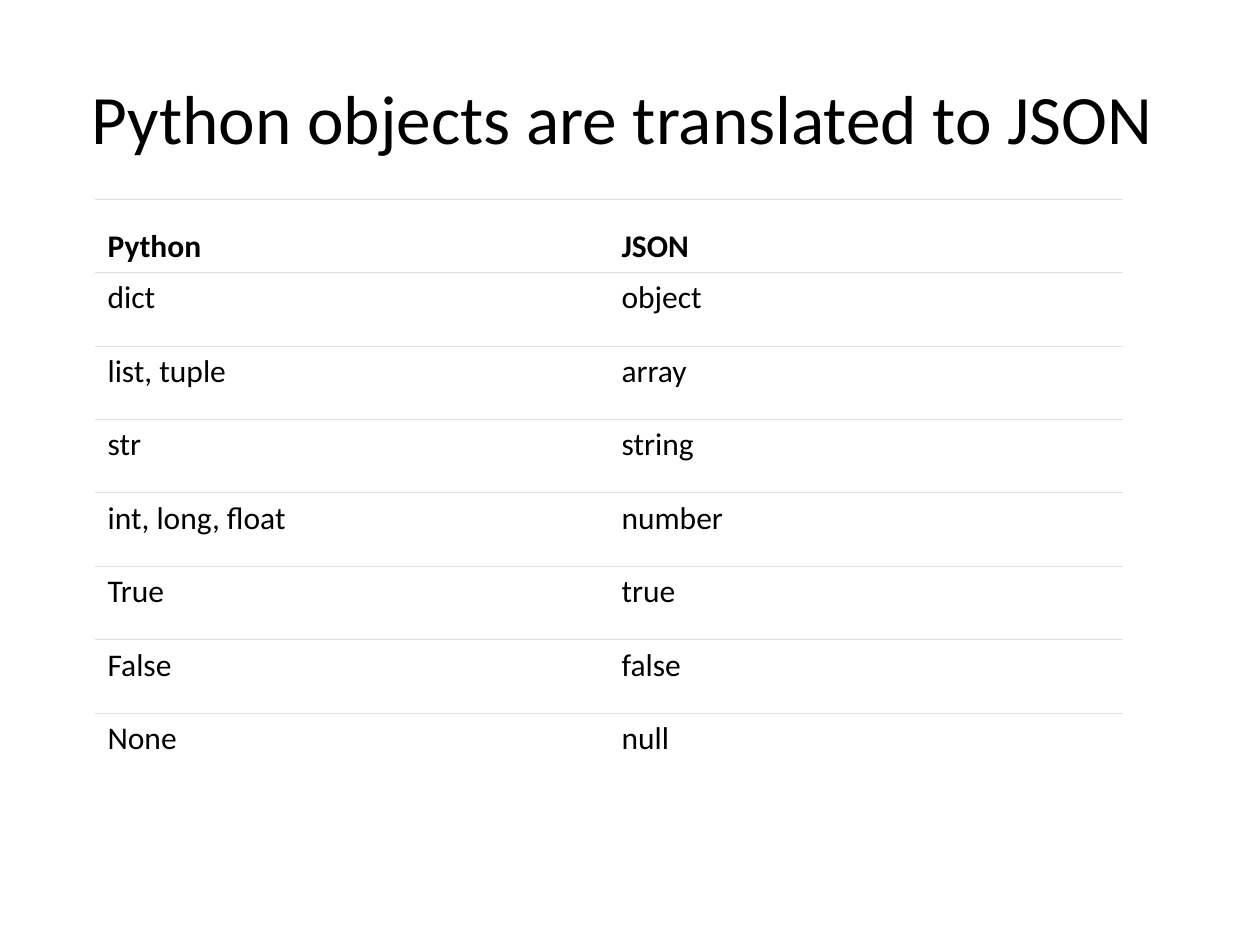
from lxml.etree import SubElement
from pptx import Presentation
from pptx.dml.color import RGBColor
from pptx.enum.text import MSO_ANCHOR, MSO_AUTO_SIZE, PP_ALIGN
from pptx.oxml.ns import qn
from pptx.util import Emu, Pt

ROWS = [
    ("Python", "JSON"),
    ("dict", "object"),
    ("list, tuple", "array"),
    ("str", "string"),
    ("int, long, float", "number"),
    ("True", "true"),
    ("False", "false"),
    ("None", "null"),
]


def px(count):
    return Emu(round(count * 914400 / 126))


def tint(code):
    return RGBColor.from_string(code)


def write(frame, text, size=18, bold=False, color="000000", font="Calibri", align=PP_ALIGN.LEFT):
    par = frame.paragraphs[0]
    par.alignment = align
    run = par.add_run()
    run.text = text
    run.font.name, run.font.size, run.font.bold = font, Pt(size), bold
    run.font.color.rgb = tint(color)


class Deck:
    """Holds the style and the current slide."""

    paper = "FFFFFF"
    rule = "DEE2E6"

    def __init__(self, wide, high):
        self.prs = Presentation()
        self.prs.slide_width, self.prs.slide_height = px(wide), px(high)
        self.slide = self.prs.slides.add_slide(self.prs.slide_layouts[5])
        fill = self.slide.background.fill
        fill.solid()
        fill.fore_color.rgb = tint(self.paper)

    def title(self, text, left, top, wide, high):
        box = self.slide.shapes.title
        box.left, box.top, box.width, box.height = map(px, (left, top, wide, high))
        frame = box.text_frame
        frame.word_wrap = True
        frame.auto_size = MSO_AUTO_SIZE.NONE
        frame.vertical_anchor = MSO_ANCHOR.MIDDLE
        write(frame, text, size=39.6, align=PP_ALIGN.CENTER)

    def border(self, cell, sides):
        props = cell._tc.get_or_add_tcPr()
        for spot, side in enumerate("LRTB"):
            line = SubElement(props, qn(f"a:ln{side}"), w=str(Pt(0.6)))
            if side in sides:
                fill = SubElement(line, qn("a:solidFill"))
                SubElement(fill, qn("a:srgbClr"), val=self.rule)
            else:
                SubElement(line, qn("a:noFill"))
            props.insert(spot, line)

    def table(self, rows, left, top, wide, high):
        spots = map(px, (left, top, wide, high))
        grid = self.slide.shapes.add_table(len(rows), len(rows[0]), *spots).table
        grid.first_row = grid.horz_banding = False
        for r, row in enumerate(rows):
            head, last = r == 0, r == len(rows) - 1
            for c, text in enumerate(row):
                cell = grid.cell(r, c)
                cell.fill.solid()
                cell.fill.fore_color.rgb = tint(self.paper)
                cell.vertical_anchor = MSO_ANCHOR.BOTTOM if head else MSO_ANCHOR.TOP
                write(cell.text_frame, text, bold=head)
                self.border(cell, "T" if last else "TB")

    def save(self):
        self.prs.save("out.pptx")


def main():
    deck = Deck(1260, 945)
    deck.title("Python objects are translated to JSON ", 63, 38, 1134, 157)
    deck.table(ROWS, 95, 199, 1028, 588)
    deck.save()


if __name__ == "__main__":
    main()
